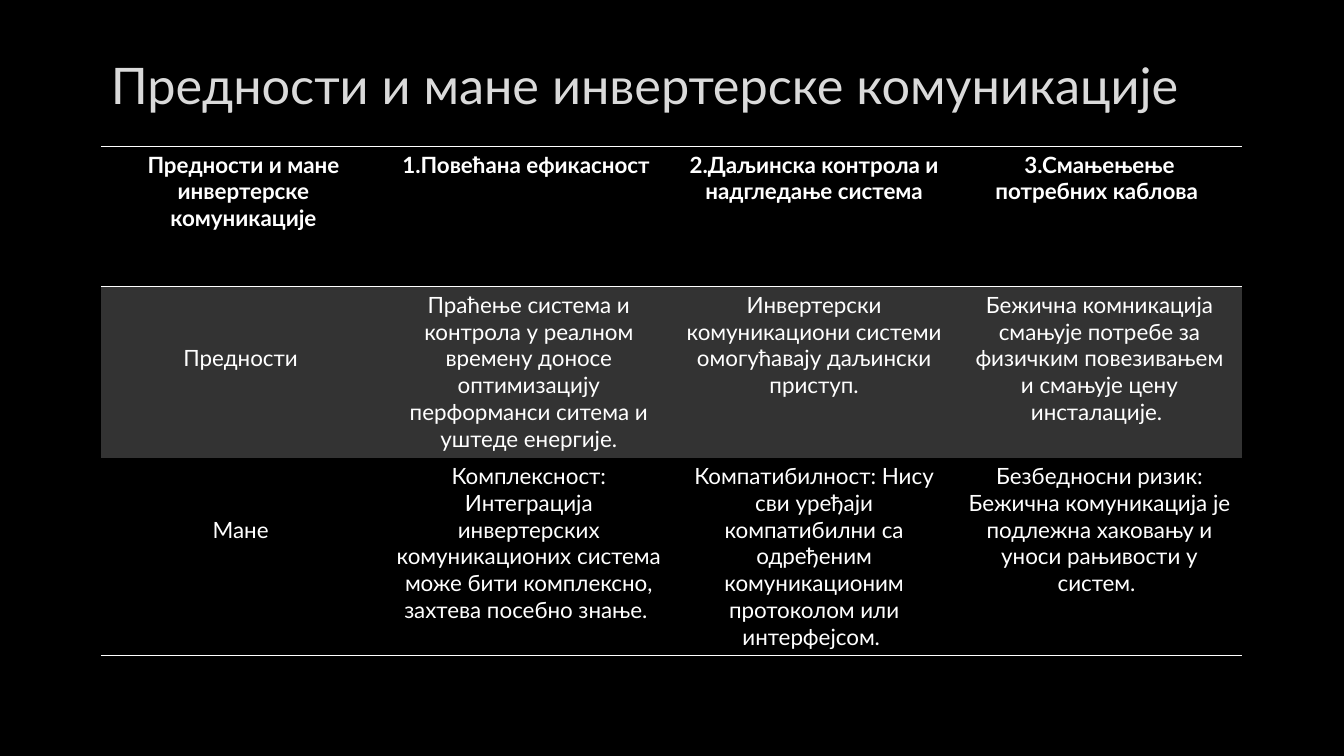
from lxml.etree import SubElement
from pptx import Presentation
from pptx.dml.color import RGBColor
from pptx.enum.text import MSO_ANCHOR, PP_ALIGN
from pptx.oxml.ns import qn
from pptx.util import Inches, Pt

BLACK = RGBColor(0x00, 0x00, 0x00)
BAND = RGBColor(0x33, 0x33, 0x33)
SILVER = RGBColor(0xDA, 0xDA, 0xDA)
WHITE = RGBColor(0xFF, 0xFF, 0xFF)
FONT = "Lato"
TITLE = "Предности и мане инвертерске комуникације"
HEIGHTS = [1.39, 1.7, 1.95]
FILLS = [BLACK, BAND, BLACK]
RULES = [("T", "B"), ("T",), ("B",)]
ROWS = [
    [
        TITLE,
        "1.Повећана ефикасност ",
        "2.Даљинска контрола и надгледање система",
        "3.Смањењење потребних каблова ",
    ],
    [
        "Предности ",
        "Праћење система и контрола у реалном времену доносе оптимизацију "
        "перформанси ситема и уштеде енергије.",
        "Инвертерски комуникациони системи омогућавају даљински приступ.",
        "Бежична комникација смањује потребе за физичким повезивањем "
        "и смањује цену инсталације. ",
    ],
    [
        "Мане ",
        "Комплексност: Интеграција инвертерских комуникационих система "
        "може бити комплексно, захтева посебно знање. ",
        "Компатибилност: Нису сви уређаји компатибилни са одређеним "
        "комуникационим протоколом или интерфејсом. ",
        "Безбедносни ризик: Бежична комуникација је подлежна хаковању "
        "и уноси рањивости у систем. ",
    ],
]


def add_run(frame, text, size, color, bold=False, align=PP_ALIGN.LEFT):
    """Write one styled run in the first paragraph of a frame."""
    para = frame.paragraphs[0]
    para.alignment = align
    run = para.add_run()
    run.text = text
    font = run.font
    font.name, font.size, font.bold = FONT, Pt(size), bold
    font.color.rgb = color


def add_title(slide):
    """Add the slide heading."""
    box = slide.shapes.add_textbox(Inches(1), Inches(0.31), Inches(11.32), Inches(1.06))
    frame = box.text_frame
    frame.word_wrap = True
    frame.vertical_anchor = MSO_ANCHOR.MIDDLE
    add_run(frame, TITLE, 36, SILVER)


def set_rules(cell, sides):
    """Draw white rules on the given sides and clear the others."""
    props = cell._tc.get_or_add_tcPr()
    for side in "LRTB":
        line = SubElement(props, qn(f"a:ln{side}"), w=str(Pt(1)))
        if side in sides:
            fill = SubElement(line, qn("a:solidFill"))
            SubElement(fill, qn("a:srgbClr"), val=str(WHITE))
        else:
            SubElement(line, qn("a:noFill"))


def add_grid(slide):
    """Add the table of pros and cons."""
    frame = slide.shapes.add_table(
        len(ROWS), len(ROWS[0]), Inches(1), Inches(1.45), Inches(11.32), Inches(sum(HEIGHTS))
    )
    table = frame.table
    table.first_row = table.horz_banding = False
    for row, texts in enumerate(ROWS):
        table.rows[row].height = Inches(HEIGHTS[row])
        for col, text in enumerate(texts):
            cell = table.cell(row, col)
            set_rules(cell, RULES[row])
            cell.fill.solid()
            cell.fill.fore_color.rgb = FILLS[row]
            if row and not col:
                cell.margin_top = Inches(0.58)
            add_run(cell.text_frame, text, 16, WHITE, row == 0, PP_ALIGN.CENTER)


def main():
    """Build and save the slide."""
    deck = Presentation()
    deck.slide_width, deck.slide_height = Inches(13.33), Inches(7.5)
    slide = deck.slides.add_slide(deck.slide_layouts[6])
    slide.background.fill.solid()
    slide.background.fill.fore_color.rgb = BLACK
    add_title(slide)
    add_grid(slide)
    deck.save("out.pptx")


if __name__ == "__main__":
    main()
